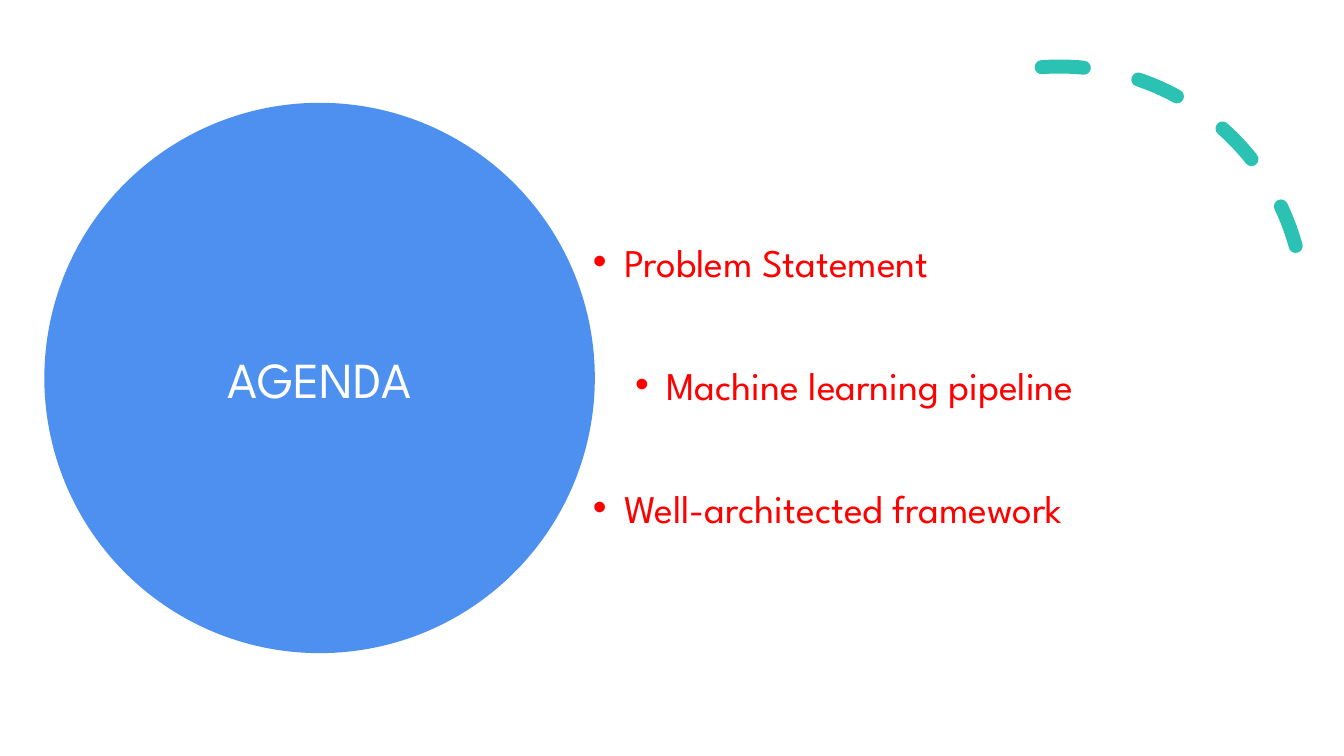
import dataclasses

import lxml.etree
import pptx
import pptx.dml.color
import pptx.enum.dml
import pptx.enum.shapes
import pptx.enum.text
import pptx.oxml.ns
import pptx.util

EMU_PER_PX = 9144
COMPARISON_LAYOUT = 4
BULLET_INDENT = 31


@dataclasses.dataclass(frozen=True)
class Theme:
    font: str = "League Spartan"
    circle: str = "4D90EF"
    arc: str = "2BC2B4"
    title: str = "FFFFFF"
    topic: str = "FF0000"
    title_size: int = 36
    topic_size: int = 28
    arc_width: int = 10


@dataclasses.dataclass(frozen=True)
class Frame:
    left: int
    top: int
    width: int
    height: int


@dataclasses.dataclass(frozen=True)
class Topic:
    text: str
    left: int
    width: int


THEME = Theme()
CIRCLE = Frame(44, 102, 546, 546)
TITLE = Frame(126, 340, 382, 71)
ARC = Frame(808, 66, 486, 486)
TOPIC_TOP, TOPIC_STEP, TOPIC_HEIGHT = 231, 122, 57
TOPICS = (
    Topic("Problem Statement", 578, 473),
    Topic("Machine learning pipeline", 620, 546),
    Topic("Well-architected framework", 578, 589),
)


def px(length: int) -> pptx.util.Emu:
    return pptx.util.Emu(length * EMU_PER_PX)


def rgb(colour: str) -> pptx.dml.color.RGBColor:
    return pptx.dml.color.RGBColor.from_string(colour)


def add_shape(page, kind, frame: Frame):
    shape = page.shapes.add_shape(
        kind, px(frame.left), px(frame.top), px(frame.width), px(frame.height)
    )
    shape.shadow.inherit = False
    return shape


def add_circle(page) -> None:
    circle = add_shape(page, pptx.enum.shapes.MSO_SHAPE.OVAL, CIRCLE)
    circle.fill.solid()
    circle.fill.fore_color.rgb = rgb(THEME.circle)
    circle.line.fill.background()
    page.shapes.title.element.addprevious(circle.element)


def add_dashed_arc(page) -> None:
    arc = add_shape(page, pptx.enum.shapes.MSO_SHAPE.ARC, ARC)
    arc.rotation = 355.8
    arc.fill.background()
    arc.line.color.rgb = rgb(THEME.arc)
    arc.line.width = pptx.util.Pt(THEME.arc_width)
    arc.line.dash_style = pptx.enum.dml.MSO_LINE.DASH
    arc.element.spPr.find(pptx.oxml.ns.qn("a:ln")).set("cap", "rnd")


def fill_placeholder(box, frame: Frame, text: str, size: int, colour: str, align):
    box.left, box.top = px(frame.left), px(frame.top)
    box.width, box.height = px(frame.width), px(frame.height)
    text_frame = box.text_frame
    text_frame.word_wrap = True
    text_frame.auto_size = pptx.enum.text.MSO_AUTO_SIZE.SHAPE_TO_FIT_TEXT
    text_frame.vertical_anchor = pptx.enum.text.MSO_ANCHOR.TOP
    para = text_frame.paragraphs[0]
    para.alignment = align
    para.space_before = pptx.util.Pt(0)
    span = para.add_run()
    span.text = text
    span.font.name = THEME.font
    span.font.size = pptx.util.Pt(size)
    span.font.bold = False
    span.font.color.rgb = rgb(colour)
    return para


def add_bullet(para) -> None:
    properties = para._p.get_or_add_pPr()
    properties.set("marL", str(px(BULLET_INDENT)))
    properties.set("indent", str(-px(BULLET_INDENT)))
    qn = pptx.oxml.ns.qn
    lxml.etree.SubElement(properties, qn("a:buFont")).set("typeface", "Arial")
    lxml.etree.SubElement(properties, qn("a:buChar")).set("char", "•")


def main() -> None:
    deck = pptx.Presentation()
    deck.slide_width, deck.slide_height = px(1333), px(750)
    page = deck.slides.add_slide(deck.slide_layouts[COMPARISON_LAYOUT])
    title, *bodies = page.placeholders
    align = pptx.enum.text.PP_ALIGN

    add_circle(page)
    fill_placeholder(
        title, TITLE, "AGENDA", THEME.title_size, THEME.title, align.CENTER
    )
    add_dashed_arc(page)
    for row, (topic, body) in enumerate(zip(TOPICS, bodies)):
        top = TOPIC_TOP + row * TOPIC_STEP
        frame = Frame(topic.left, top, topic.width, TOPIC_HEIGHT)
        para = fill_placeholder(
            body, frame, topic.text, THEME.topic_size, THEME.topic, align.LEFT
        )
        add_bullet(para)
    for spare in bodies[len(TOPICS):]:
        spare.element.getparent().remove(spare.element)

    deck.save("out.pptx")


if __name__ == "__main__":
    main()
